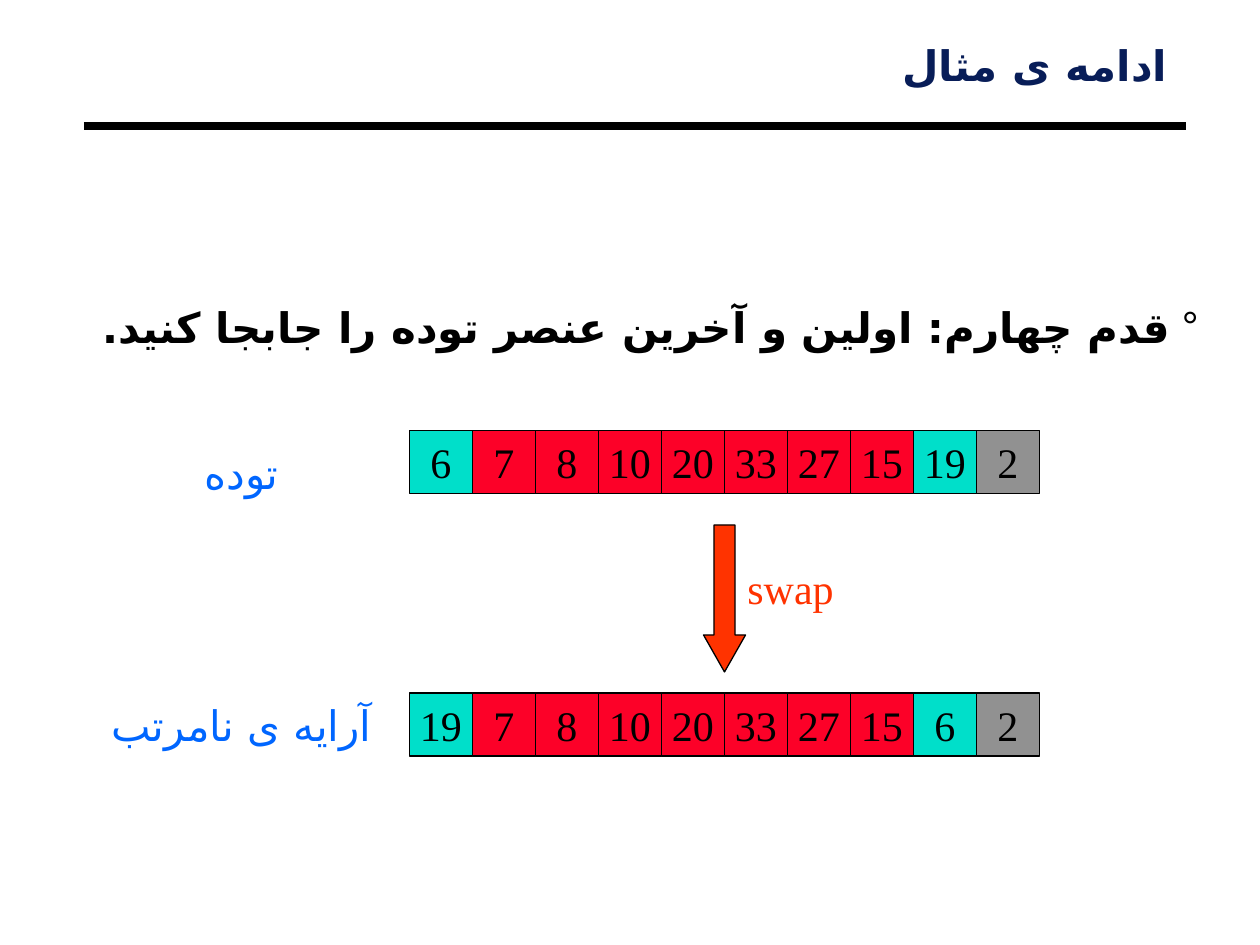
from dataclasses import dataclass

from lxml.etree import SubElement
from pptx import Presentation
from pptx.dml.color import RGBColor
from pptx.enum.shapes import MSO_CONNECTOR, MSO_SHAPE
from pptx.enum.text import MSO_ANCHOR, MSO_AUTO_SIZE, PP_ALIGN
from pptx.oxml.ns import qn
from pptx.shapes.base import BaseShape
from pptx.slide import Slide
from pptx.util import Pt

BLACK, NAVY, BLUE, ORANGE = "000000", "081D58", "0066FF", "FF3300"
TEAL, RED, GRAY = "00DFCA", "FC0128", "919191"
SERIF = "Times New Roman"
PERSIAN = "DejaVu Sans"  # the named Latin fonts hold no Persian letters
CELL = 36
ROW_LEFT = 234
HEAP = [6, 7, 8, 10, 20, 33, 27, 15, 19, 2]
LAST = 8  # index of the last heap element; what follows is already sorted


@dataclass
class Area:
    left: float
    top: float
    width: float
    height: float

    def lengths(self) -> list:
        return [Pt(n) for n in (self.left, self.top, self.width, self.height)]


@dataclass
class Label:
    text: str
    area: Area
    color: str
    align: PP_ALIGN


LABELS = [
    Label("توده", Area(54, 252, 168, 36), BLUE, PP_ALIGN.CENTER),
    Label("آرایه ی نامرتب", Area(54, 396, 168, 36), BLUE, PP_ALIGN.CENTER),
    Label("swap", Area(420, 318, 102, 36), ORANGE, PP_ALIGN.LEFT),
]


def rgb(color: str) -> RGBColor:
    return RGBColor.from_string(color)


def write(box: BaseShape, text: str, font: str, color: str,
          align: PP_ALIGN, bold: bool = False):
    """Set the only paragraph of the box and return it."""
    box.text_frame.text = text
    para = box.text_frame.paragraphs[0]
    para.alignment = align
    para.space_before = Pt(0)
    span = para.runs[0]
    span.font.name = font
    span.font.size = Pt(24)
    span.font.bold = bold
    span.font.color.rgb = rgb(color)
    SubElement(span.font._element, qn("a:cs"), typeface=PERSIAN)
    return para


def fill_placeholder(box: BaseShape, area: Area, text: str, font: str,
                     color: str, spacing: float):
    """Place a right-to-left placeholder and return its paragraph."""
    box.left, box.top, box.width, box.height = area.lengths()
    frame = box.text_frame
    frame.margin_left = frame.margin_right = Pt(5)
    frame.margin_top = frame.margin_bottom = Pt(2)
    frame.vertical_anchor = MSO_ANCHOR.TOP
    frame.word_wrap = True
    frame.auto_size = MSO_AUTO_SIZE.NONE
    para = write(box, text, font, color, PP_ALIGN.RIGHT, bold=True)
    para.line_spacing = spacing
    para._p.get_or_add_pPr().set("rtl", "1")
    return para


def add_bullet(para, char: str, color: str, indent: float) -> None:
    props = para._p.get_or_add_pPr()
    props.set("marL", str(Pt(indent)))
    props.set("indent", str(-Pt(indent)))
    bullet_color = SubElement(props, qn("a:buClr"))
    SubElement(bullet_color, qn("a:srgbClr"), val=color)
    SubElement(props, qn("a:buChar"), char=char)


def add_rule(page: Slide, left: float, right: float, top: float) -> None:
    rule = page.shapes.add_connector(
        MSO_CONNECTOR.STRAIGHT, Pt(left), Pt(top), Pt(right), Pt(top))
    rule.line.color.rgb = rgb(BLACK)
    rule.line.width = Pt(4.5)
    SubElement(rule._element.spPr, qn("a:effectLst"))


def add_outlined(page: Slide, kind: MSO_SHAPE, area: Area, fill: str) -> BaseShape:
    shape = page.shapes.add_shape(kind, *area.lengths())
    shape.shadow.inherit = False
    shape.fill.solid()
    shape.fill.fore_color.rgb = rgb(fill)
    shape.line.color.rgb = rgb(BLACK)
    shape.line.width = Pt(0.75)
    return shape


def add_label(page: Slide, label: Label) -> None:
    box = page.shapes.add_textbox(*label.area.lengths())
    box.text_frame.word_wrap = True
    box.text_frame.auto_size = MSO_AUTO_SIZE.SHAPE_TO_FIT_TEXT
    write(box, label.text, SERIF, label.color, label.align)


def cell_color(index: int) -> str:
    if index > LAST:
        return GRAY
    return TEAL if index in (0, LAST) else RED


def add_array(page: Slide, values: list[int], top: float) -> None:
    for index, value in enumerate(values):
        area = Area(ROW_LEFT + index * CELL, top, CELL, CELL)
        cell = add_outlined(page, MSO_SHAPE.RECTANGLE, area, cell_color(index))
        cell.text_frame.word_wrap = False
        cell.text_frame.vertical_anchor = MSO_ANCHOR.MIDDLE
        write(cell, str(value), SERIF, BLACK, PP_ALIGN.CENTER)


def main() -> None:
    deck = Presentation()
    deck.slide_width, deck.slide_height = Pt(720), Pt(540)
    page = deck.slides.add_slide(deck.slide_layouts[1])

    add_rule(page, 48, 678, 72)
    fill_placeholder(page.shapes.title, Area(48, 24.5, 624, 30),
                     "ادامه ی مثال", "Roboto", NAVY, 0.87)
    step = fill_placeholder(page.placeholders[1], Area(30, 156, 660, 47.5),
                            "قدم چهارم: اولین و آخرین عنصر توده را جابجا کنید.",
                            "Calibri", BLACK, 1.5)
    add_bullet(step, "°", BLACK, 16)

    for label in LABELS:
        add_label(page, label)
    arrow = add_outlined(page, MSO_SHAPE.DOWN_ARROW, Area(402, 300, 24, 84), ORANGE)
    arrow.adjustments[0] = 0.5
    arrow.adjustments[1] = 0.88

    swapped = HEAP.copy()
    swapped[0], swapped[LAST] = HEAP[LAST], HEAP[0]
    add_array(page, HEAP, 246)
    add_array(page, swapped, 396)

    deck.save("out.pptx")


if __name__ == "__main__":
    main()
